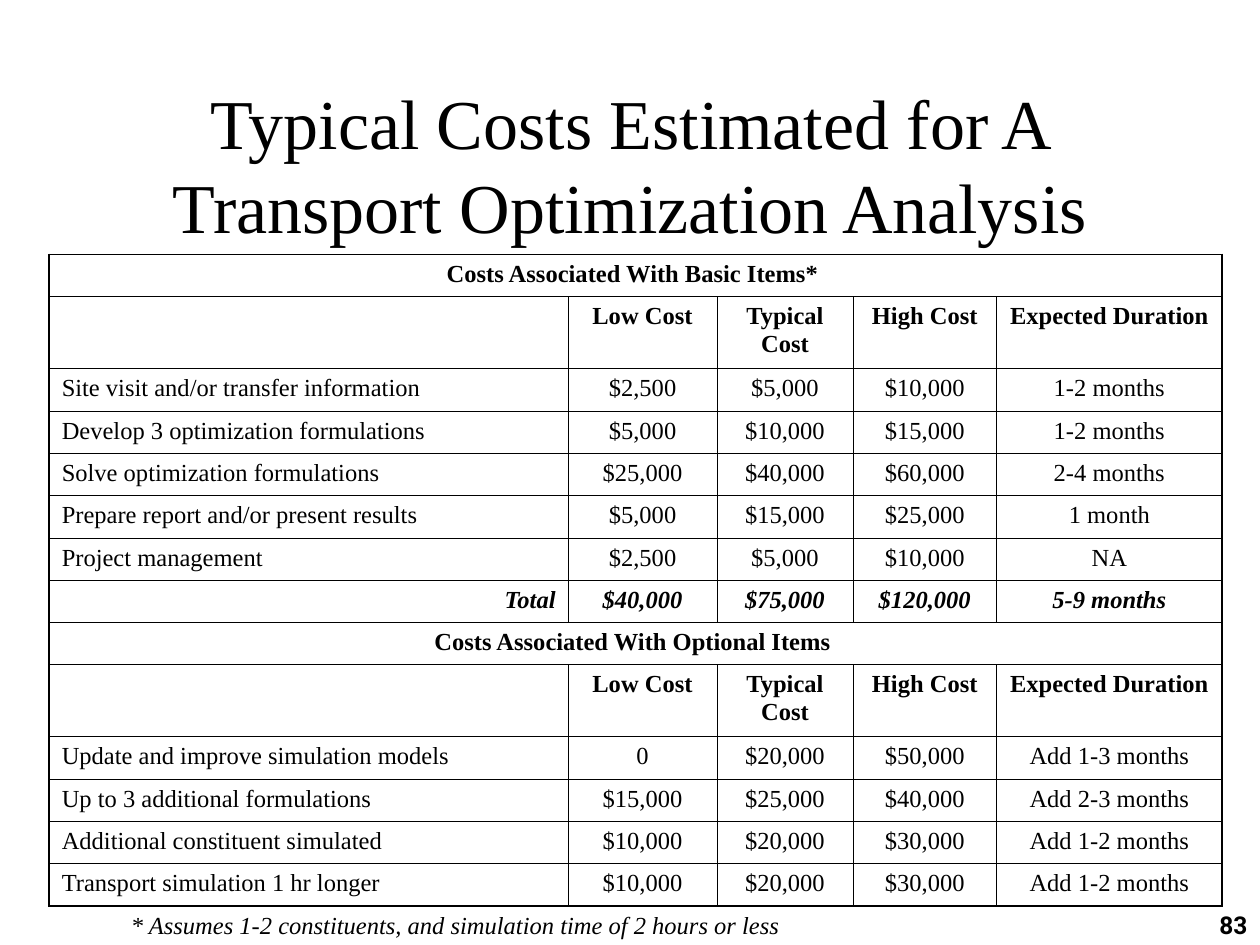
from dataclasses import dataclass

from lxml.etree import SubElement
from pptx import Presentation
from pptx.dml.color import RGBColor
from pptx.enum.text import MSO_ANCHOR, MSO_AUTO_SIZE, PP_ALIGN
from pptx.oxml.ns import qn
from pptx.util import Inches, Pt


@dataclass(frozen=True)
class Theme:
    ink: str = "000000"
    serif: str = "Times New Roman"
    sans: str = "Roboto"
    title_size: float = 40
    body_size: float = 14
    outer_line: float = 1.08
    inner_line: float = 0.45
    cell_space_before: float = 3.5


COLUMN_WIDTHS = (4.12, 1.18, 1.08, 1.14, 1.79)
TABLE_HEIGHT = 5.17
HEADER_HEIGHT = 0.57
COLUMN_HEADINGS = ("", "Low Cost", "Typical Cost", "High Cost", "Expected Duration")
COST_ROWS = (
    ("section", ("Costs Associated With Basic Items* ",)),
    ("header", COLUMN_HEADINGS),
    ("item", ("Site visit and/or transfer information", "$2,500", "$5,000", "$10,000", "1-2 months")),
    ("item", ("Develop 3 optimization formulations", "$5,000", "$10,000", "$15,000", "1-2 months")),
    ("item", ("Solve optimization formulations", "$25,000", "$40,000", "$60,000", "2-4 months")),
    ("item", ("Prepare report and/or present results", "$5,000", "$15,000", "$25,000", "1 month")),
    ("item", ("Project management", "$2,500", "$5,000", "$10,000", "NA")),
    ("total", ("Total", "$40,000", "$75,000", "$120,000", "5-9 months")),
    ("section", ("Costs Associated With Optional Items ",)),
    ("header", COLUMN_HEADINGS),
    ("item", ("Update and improve simulation models", "0", "$20,000", "$50,000", "Add 1-3 months")),
    ("item", ("Up to 3 additional formulations", "$15,000", "$25,000", "$40,000", "Add 2-3 months")),
    ("item", ("Additional constituent simulated", "$10,000", "$20,000", "$30,000", "Add 1-2 months")),
    ("item", ("Transport simulation 1 hr longer", "$10,000", "$20,000", "$30,000", "Add 1-2 months")),
)
LABEL_ALIGNMENT = {"item": PP_ALIGN.LEFT, "total": PP_ALIGN.RIGHT}


def write_text(frame, text, *, size, font, color, align=PP_ALIGN.LEFT,
               bold=False, italic=False, space_before=0):
    paragraph = frame.paragraphs[0]
    paragraph.alignment = align
    paragraph.space_before = Pt(space_before)
    if not text:
        paragraph.font.size = Pt(size)
        return
    run = paragraph.add_run()
    run.text = text
    run.font.size = Pt(size)
    run.font.name = font
    run.font.bold = bold
    run.font.italic = italic
    run.font.color.rgb = RGBColor.from_string(color)


def set_borders(cell, widths, color):
    """Draw the cell's sides; widths maps L, R, T and B to points, in that order."""
    properties = cell._tc.get_or_add_tcPr()
    for side, width in widths.items():
        line = SubElement(properties, qn(f"a:ln{side}"), w=str(Pt(width)))
        fill = SubElement(line, qn("a:solidFill"))
        SubElement(fill, qn("a:srgbClr"), val=color)


class SlideBuilder:
    def __init__(self, slide, theme):
        self.slide = slide
        self.theme = theme

    def text_box(self, text, left, top, width, height, *, wrap=True, grow=False,
                 anchor=MSO_ANCHOR.TOP, **text_format):
        box = self.slide.shapes.add_textbox(
            Inches(left), Inches(top), Inches(width), Inches(height))
        frame = box.text_frame
        frame.word_wrap = wrap
        frame.vertical_anchor = anchor
        frame.auto_size = MSO_AUTO_SIZE.SHAPE_TO_FIT_TEXT if grow else MSO_AUTO_SIZE.NONE
        style = {"size": self.theme.body_size, "font": self.theme.serif,
                 "color": self.theme.ink}
        write_text(frame, text, **(style | text_format))

    def cost_table(self, rows, left, top):
        column_count = len(COLUMN_WIDTHS)
        shape = self.slide.shapes.add_table(
            len(rows), column_count, Inches(left), Inches(top),
            Inches(sum(COLUMN_WIDTHS)), Inches(TABLE_HEIGHT))
        table = shape.table
        table.first_row = table.horz_banding = False
        for column, width in zip(table.columns, COLUMN_WIDTHS):
            column.width = Inches(width)

        header_count = sum(kind == "header" for kind, _ in rows)
        plain_height = (TABLE_HEIGHT - header_count * HEADER_HEIGHT) / (len(rows) - header_count)
        for row_index, (kind, texts) in enumerate(rows):
            table.rows[row_index].height = Inches(
                HEADER_HEIGHT if kind == "header" else plain_height)
            if kind == "section":
                table.cell(row_index, 0).merge(table.cell(row_index, column_count - 1))
            for column_index in range(column_count):
                cell = table.cell(row_index, column_index)
                self.style_cell(cell, {
                    "L": column_index == 0,
                    "R": column_index == column_count - 1 or cell.is_merge_origin,
                    "T": row_index == 0,
                    "B": row_index == len(rows) - 1,
                })
            for column_index, text in enumerate(texts):
                align = PP_ALIGN.CENTER
                if column_index == 0:
                    align = LABEL_ALIGNMENT.get(kind, align)
                write_text(table.cell(row_index, column_index).text_frame, text,
                           size=self.theme.body_size, font=self.theme.serif,
                           color=self.theme.ink, align=align, bold=kind != "item",
                           italic=kind == "total",
                           space_before=self.theme.cell_space_before)

    def style_cell(self, cell, outer_sides):
        theme = self.theme
        widths = {side: theme.outer_line if outer else theme.inner_line
                  for side, outer in outer_sides.items()}
        set_borders(cell, widths, theme.ink)
        cell.fill.background()
        cell.margin_left = cell.margin_right = Inches(0.1)
        cell.margin_top = cell.margin_bottom = Inches(0.05)


def main():
    presentation = Presentation()
    presentation.slide_width = Inches(10)
    presentation.slide_height = Inches(7.5)
    theme = Theme()
    slide = presentation.slides.add_slide(presentation.slide_layouts[6])
    builder = SlideBuilder(slide, theme)

    builder.text_box("Typical Costs Estimated for A Transport Optimization Analysis",
                     0.75, 0.67, 8.5, 1.25, anchor=MSO_ANCHOR.MIDDLE,
                     size=theme.title_size, align=PP_ALIGN.CENTER)
    builder.cost_table(COST_ROWS, 0.39, 2.02)
    builder.text_box("* Assumes 1-2 constituents, and simulation time of 2 hours or less",
                     0.94, 7.17, 5.35, 0.34, wrap=False, grow=True, italic=True)
    builder.text_box("83", 7.92, 7.17, 2.08, 0.5, font=theme.sans, bold=True,
                     align=PP_ALIGN.RIGHT)
    presentation.save("out.pptx")


if __name__ == "__main__":
    main()
